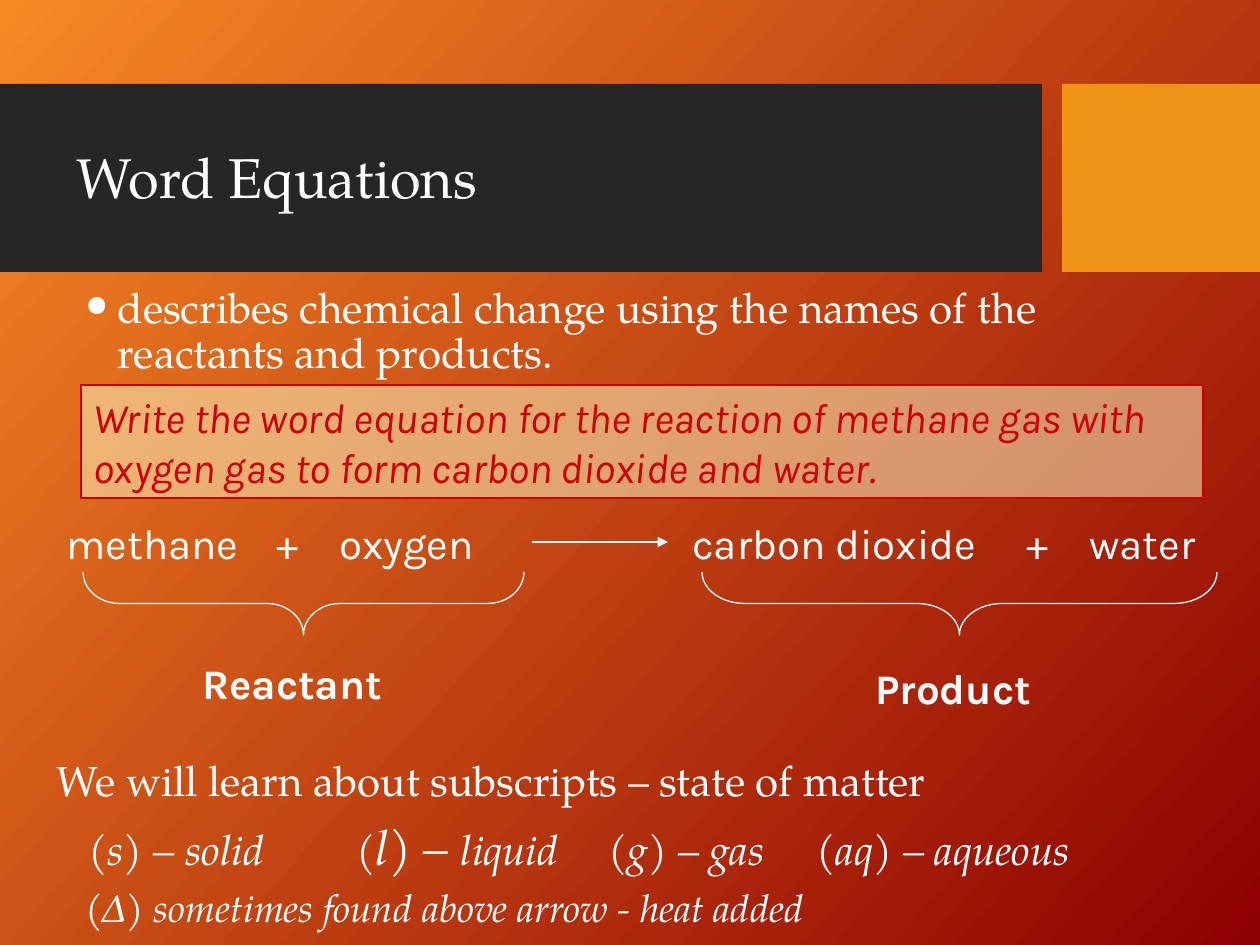
from lxml import etree
from pptx import Presentation
from pptx.dml.color import RGBColor
from pptx.enum.shapes import MSO_CONNECTOR, MSO_SHAPE
from pptx.enum.text import MSO_ANCHOR, PP_ALIGN
from pptx.oxml.ns import qn
from pptx.util import Emu, Pt

RECT, BRACE = MSO_SHAPE.RECTANGLE, MSO_SHAPE.RIGHT_BRACE
STRAIGHT = MSO_CONNECTOR.STRAIGHT
TOP, MIDDLE = MSO_ANCHOR.TOP, MSO_ANCHOR.MIDDLE
LEFT = PP_ALIGN.LEFT

EMU_PER_PX = 914400 / 126
SERIF, SANS = "TeX Gyre Pagella", "Karla"
COLORS = {
    "bg_start": "F78925",
    "bg_end": "8D0000",
    "bar": "262626",
    "accent": "F09415",
    "text": "FFFFFF",
    "note": "FFFFCC",
    "red": "CC0000",
}
# Left edge, width and wording of each term
EQUATION = [
    (54, 200, "methane"),
    (264, 60, "+"),
    (327, 190, "oxygen"),
    (680, 330, "carbon dioxide"),
    (1014, 60, "+"),
    (1077, 150, "water"),
]
STATES = [
    (76, 220, "(s) – solid"),
    (596, 190, "(g) – gas"),
    (804, 290, "(aq) – aqueous"),
]


def px(n):
    return Emu(round(n * EMU_PER_PX))


def rgb(name):
    return RGBColor.from_string(COLORS[name])


def sub(parent, tag, **attrs):
    return etree.SubElement(parent, qn(tag), attrs)


def paint_background(slide):
    fill = slide.background.fill
    fill.gradient()
    fill.gradient_angle = 360 - 42
    for stop, position, name in zip(fill.gradient_stops, (0, 1), ("bg_start", "bg_end")):
        stop.position = position
        stop.color.rgb = rgb(name)


def add_rect(slide, box, color, line=None, alpha=None):
    sp = slide.shapes.add_shape(RECT, *map(px, box))
    sp.shadow.inherit = False
    sp.fill.solid()
    sp.fill.fore_color.rgb = rgb(color)
    if alpha:
        clr = sp.fill._xPr.find(qn("a:solidFill"))[0]
        sub(clr, "a:alpha", val=str(alpha * 1000))
    if line:
        sp.line.color.rgb = rgb(line)
        sp.line.width = Pt(0.75)
    else:
        sp.line.fill.background()
    return sp


def style(p, font, size, color="text", bold=False, italic=False):
    p.alignment = LEFT
    p.font.name, p.font.size = font, Pt(size)
    p.font.bold, p.font.italic = bold, italic
    p.font.color.rgb = rgb(color)


def add_bullet(p, hang):
    pPr = p._p.get_or_add_pPr()
    pPr.set("marL", str(px(hang)))
    pPr.set("indent", str(px(-hang)))
    defaults = pPr.find(qn("a:defRPr"))
    defaults.addprevious(etree.Element(qn("a:buFont"), typeface=SERIF))
    defaults.addprevious(etree.Element(qn("a:buChar"), char="•"))


def add_text(slide, box, text, font, size, anchor=TOP, wrap=True, **look):
    tf = slide.shapes.add_textbox(*map(px, box)).text_frame
    tf.word_wrap = wrap
    tf.vertical_anchor = anchor
    p = tf.paragraphs[0]
    p.text = text
    style(p, font, size, **look)
    return p


def add_row(slide, top, terms, font, size, **look):
    for left, width, text in terms:
        add_text(slide, (left, top, width, 63), text, font, size, **look)


def add_arrow(slide, x1, x2, y):
    cxn = slide.shapes.add_connector(STRAIGHT, px(x1), px(y), px(x2), px(y))
    cxn.line.color.rgb = rgb("text")
    cxn.line.width = Pt(1.5)
    sub(cxn.line._get_or_add_ln(), "a:tailEnd", type="triangle")
    sub(cxn._element.spPr, "a:effectLst")


def add_brace(slide, left, top, width, height, curve):
    # A right brace turned to point down, so its own sides are swapped
    x = left + (width - height) / 2
    y = top - (width - height) / 2
    sp = slide.shapes.add_shape(BRACE, px(x), px(y), px(height), px(width))
    sp.rotation = 90
    sp.adjustments[0] = curve
    sp.shadow.inherit = False
    sp.fill.background()
    sp.line.color.rgb = rgb("text")
    sp.line.width = Pt(0.75)


def add_states(slide):
    add_text(slide, (44, 748, 1071, 63),
             "We will learn about subscripts – state of matter", SERIF, 24)
    add_row(slide, 817, STATES, SERIF, 24, italic=True)

    # The larger letter l sets a taller line, so its box starts higher
    p = add_text(slide, (344, 810, 240, 70), "", SERIF, 24, italic=True)
    for text, size in (("(", 24), ("l) – ", 28), ("liquid", 24)):
        r = p.add_run()
        r.text = text
        r.font.size = Pt(size)

    add_text(slide, (73, 878, 1042, 60),
             "(∆) sometimes found above arrow - heat added", SERIF, 22, italic=True)


def main():
    prs = Presentation()
    prs.slide_width, prs.slide_height = px(1260), px(945)
    slide = prs.slides.add_slide(prs.slide_layouts[6])
    paint_background(slide)

    # Title band
    add_rect(slide, (0, 84, 1042, 188), "bar")
    add_rect(slide, (1062, 84, 198, 188), "accent")
    p = add_text(slide, (64, 101, 1071, 158), "Word Equations", SERIF, 32, anchor=MIDDLE)
    p.line_spacing = 0.9

    # Definition
    p = add_text(slide, (73, 281, 1071, 136),
                 "describes chemical change using the names of the reactants and products.",
                 SERIF, 24)
    p.line_spacing, p.space_before = 0.9, Pt(10)
    add_bullet(p, 32)

    # Task
    tf = add_rect(slide, (81, 385, 1122, 113), "note", line="red", alpha=50).text_frame
    tf.word_wrap = True
    tf.vertical_anchor = TOP
    p = tf.paragraphs[0]
    p.text = ("Write the word equation for the reaction of methane gas with "
              "oxygen gas to form carbon dioxide and water.")
    style(p, SANS, 24, color="red", italic=True)

    # Equation
    add_row(slide, 511, EQUATION, SANS, 24)
    add_arrow(slide, 532, 668, 542)

    # Both sides of the equation
    add_brace(slide, 83, 572, 441, 63, 0.58)
    add_brace(slide, 702, 572, 515, 63, 0.68)
    add_text(slide, (190, 651, 214, 63), "Reactant", SANS, 24, wrap=False, bold=True)
    add_text(slide, (863, 656, 190, 63), "Product", SANS, 24, wrap=False, bold=True)

    # States of matter
    add_states(slide)
    prs.save("out.pptx")


if __name__ == "__main__":
    main()
